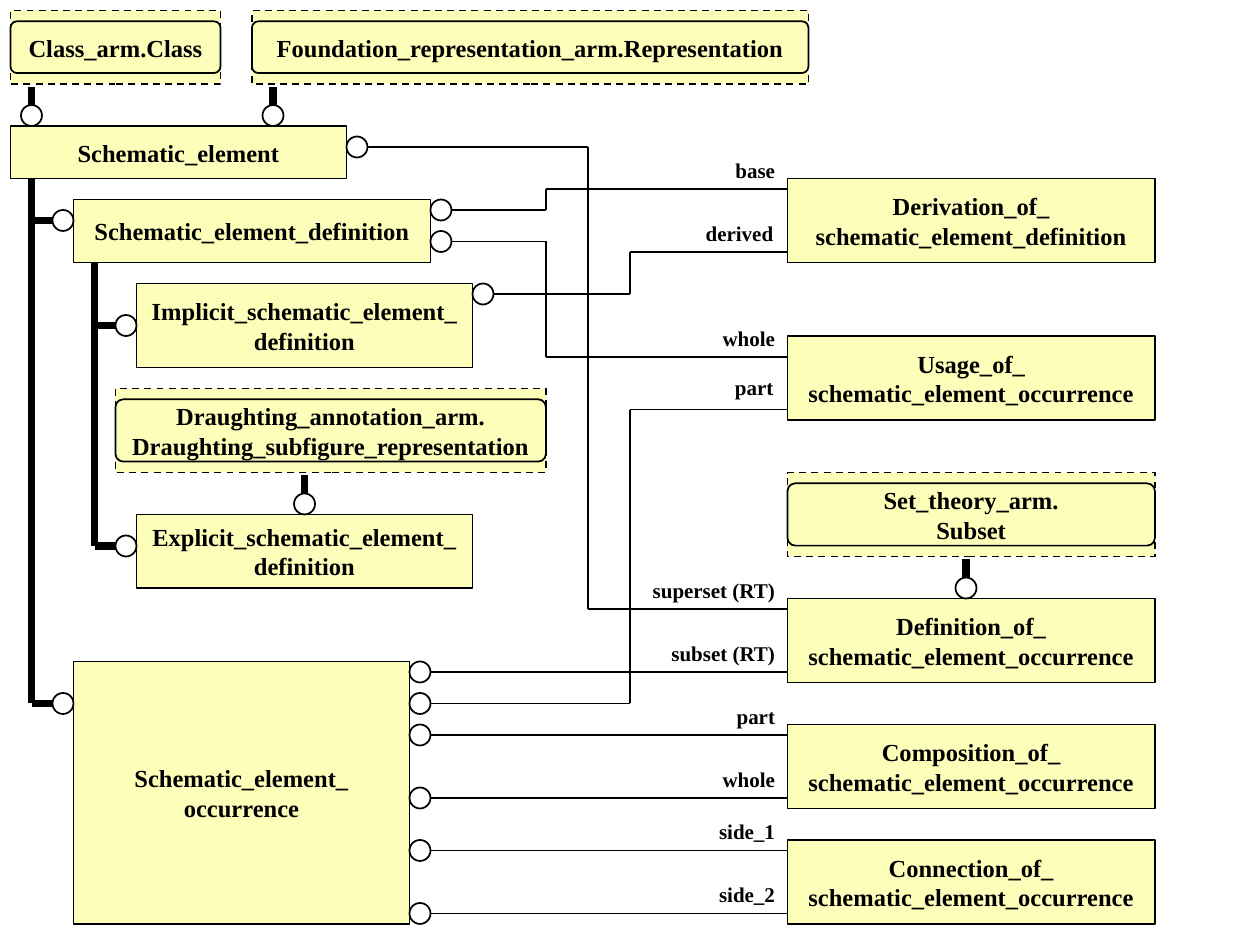
"""Draw the entity diagram of the schematic element model."""
from lxml.etree import SubElement
from pptx import Presentation
from pptx.dml.color import RGBColor
from pptx.enum.dml import MSO_LINE
from pptx.enum.shapes import MSO_CONNECTOR, MSO_SHAPE
from pptx.enum.text import MSO_ANCHOR, MSO_AUTO_SIZE, PP_ALIGN
from pptx.oxml.ns import qn
from pptx.util import Pt

COLORS = {"entity": "FCFEB9", "circle": "FFFFFF", "ink": "000000"}
FONT = "Times New Roman"
THIN, THICK = 1, 4.5
RADIUS = 6
BAND = 6.2
RIGHT_EDGE = 450

ENTITIES = [
    (6, 72, 192, 30, ["Schematic_element"]),
    (42, 114, 204, 36, ["Schematic_element_definition"]),
    (78, 162, 192, 48, ["Implicit_schematic_element_", "definition"]),
    (78, 294, 192, 42, ["Explicit_schematic_element_", "definition"]),
    (42, 378, 192, 150, ["Schematic_element_", "occurrence"]),
    (RIGHT_EDGE, 102, 210, 48, ["Derivation_of_", "schematic_element_definition"]),
    (RIGHT_EDGE, 192, 210, 48, ["Usage_of_", "schematic_element_occurrence"]),
    (RIGHT_EDGE, 342, 210, 48, ["Definition_of_", "schematic_element_occurrence"]),
    (RIGHT_EDGE, 414, 210, 48, ["Composition_of_", "schematic_element_occurrence"]),
    (RIGHT_EDGE, 480, 210, 48, ["Connection_of_", "schematic_element_occurrence"]),
]
EXTERNALS = [
    (6, 6, 120, 42, ["Class_arm.Class"]),
    (144, 6, 318, 42, ["Foundation_representation_arm.Representation"]),
    (66, 222, 246, 48, ["Draughting_annotation_arm.", "Draughting_subfigure_representation"]),
    (RIGHT_EDGE, 270, 210, 48, ["Set_theory_arm.", "Subset"]),
]
SUPERTYPE_STUBS = [(18, 66), (156, 66), (174, 288), (552, 336)]
SUBTYPE_TREES = [(18, 102, [126, 402]), (54, 150, [186, 312])]
RELATIONS = [
    ("base", 38, 252, 120, 312, 108),
    ("derived", 54, 276, 168, 360, 144),
    ("whole", 46, 252, 138, 312, 204),
    ("part", 38, 240, 402, 360, 234),
    ("superset (RT)", 86, 204, 84, 336, 348),
    ("subset (RT)", 84, 240, 384, 336, 384),
    ("part", 38, 240, 420, 336, 420),
    ("whole", 46, 240, 456, 336, 456),
    ("side_1", 48, 240, 486, 336, 486),
    ("side_2", 48, 240, 522, 336, 522),
]


def color(name):
    return RGBColor.from_string(COLORS[name])


def write(frame, lines, size, align):
    frame.word_wrap = False
    for index, line in enumerate(lines):
        paragraph = frame.paragraphs[0] if index == 0 else frame.add_paragraph()
        paragraph.alignment = align
        run = paragraph.add_run()
        run.text = line
        run.font.name = FONT
        run.font.size = Pt(size)
        run.font.bold = True
        run.font.color.rgb = color("ink")


def add_outline(shapes, kind, left, top, width, height, fill=None):
    shape = shapes.add_shape(kind, Pt(left), Pt(top), Pt(width), Pt(height))
    shape.shadow.inherit = False
    if fill:
        shape.fill.solid()
        shape.fill.fore_color.rgb = color(fill)
    else:
        shape.fill.background()
    shape.line.color.rgb = color("ink")
    shape.line.width = Pt(THIN)
    return shape


def add_entity(shapes, left, top, width, height, lines):
    entity = add_outline(shapes, MSO_SHAPE.RECTANGLE, left, top, width, height, "entity")
    entity.text_frame.vertical_anchor = MSO_ANCHOR.MIDDLE
    write(entity.text_frame, lines, 14, PP_ALIGN.CENTER)
    return entity


def add_external(shapes, left, top, width, height, lines):
    members = shapes.add_group_shape().shapes
    schema = add_entity(members, left, top, width, height, lines)
    schema.line.dash_style = MSO_LINE.DASH
    reference = add_outline(members, MSO_SHAPE.ROUNDED_RECTANGLE,
                            left, top + BAND, width, height - 2 * BAND)
    reference.adjustments[0] = 0.125


def add_circle(shapes, x, y):
    add_outline(shapes, MSO_SHAPE.OVAL, x - RADIUS, y - RADIUS,
                2 * RADIUS, 2 * RADIUS, "circle")


def add_route(shapes, points, weight):
    for (x1, y1), (x2, y2) in zip(points, points[1:]):
        segment = shapes.add_connector(MSO_CONNECTOR.STRAIGHT, Pt(x1), Pt(y1), Pt(x2), Pt(y2))
        segment.line.color.rgb = color("ink")
        segment.line.width = Pt(weight)
        SubElement(segment._element.spPr, qn("a:effectLst"))


def add_stub(shapes, x, y):
    add_route(shapes, [(x, y - 16.4), (x, y - RADIUS)], THICK)
    add_circle(shapes, x, y)


def add_tree(shapes, x, top, branches):
    add_route(shapes, [(x, top), (x, branches[-1])], THICK)
    for y in branches:
        add_route(shapes, [(x, y), (x + 12, y)], THICK)
        add_circle(shapes, x + 12 + RADIUS, y)


def add_relation(shapes, role, role_width, x, y, bend, end_y):
    start, end = (x + RADIUS, y), (RIGHT_EDGE, end_y)
    corners = [] if y == end_y else [(bend, y), (bend, end_y)]
    add_route(shapes, [start, *corners, end], THIN)
    add_circle(shapes, x, y)
    rise = 23.8 if (role, end_y) == ("part", 234) else 21.7
    right = RIGHT_EDGE - (1 if bend == 360 else 0)
    label = shapes.add_textbox(Pt(right - role_width), Pt(end_y - rise), Pt(role_width), Pt(21.8))
    write(label.text_frame, [role], 12, PP_ALIGN.RIGHT)
    label.text_frame.auto_size = MSO_AUTO_SIZE.SHAPE_TO_FIT_TEXT


def main():
    deck = Presentation()
    deck.slide_width, deck.slide_height = Pt(720), Pt(540)
    shapes = deck.slides.add_slide(deck.slide_layouts[6]).shapes
    for draw, rows in (
        (add_entity, ENTITIES),
        (add_external, EXTERNALS),
        (add_stub, SUPERTYPE_STUBS),
        (add_tree, SUBTYPE_TREES),
        (add_relation, RELATIONS),
    ):
        for row in rows:
            draw(shapes, *row)
    deck.save("out.pptx")


if __name__ == "__main__":
    main()
